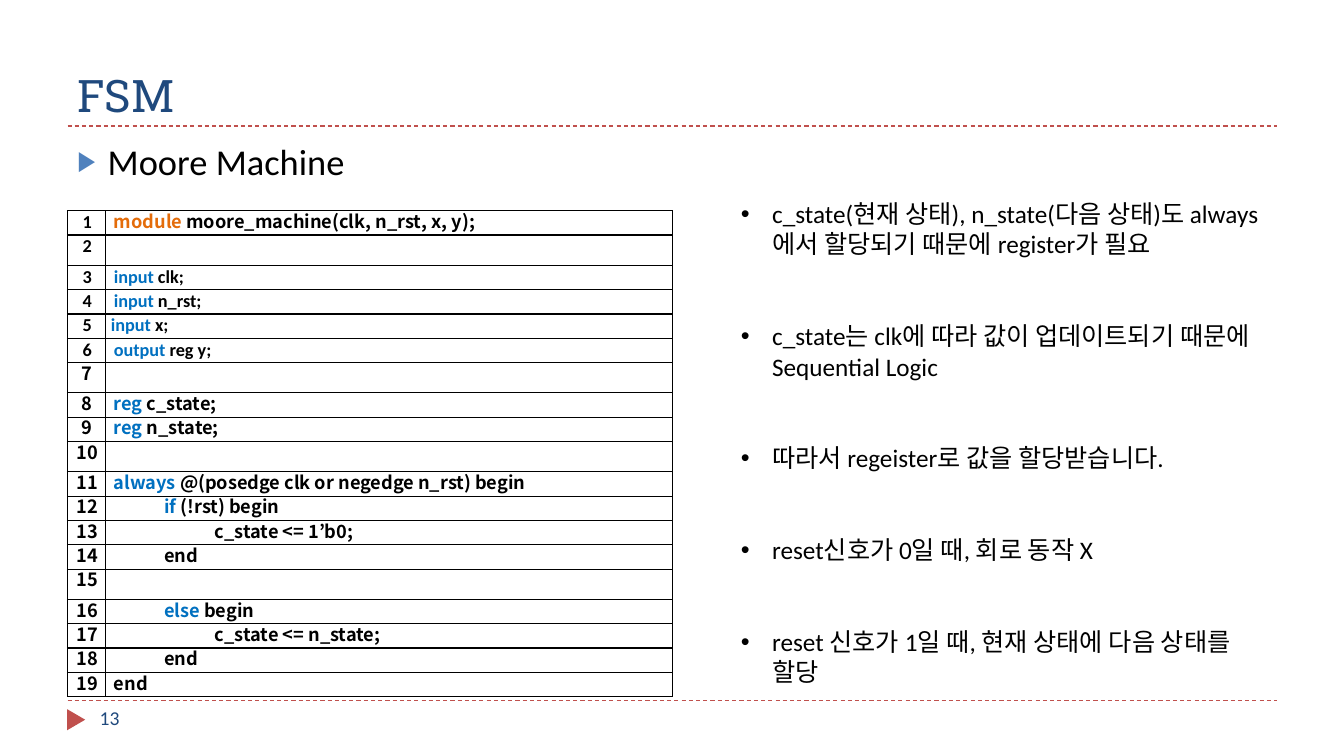
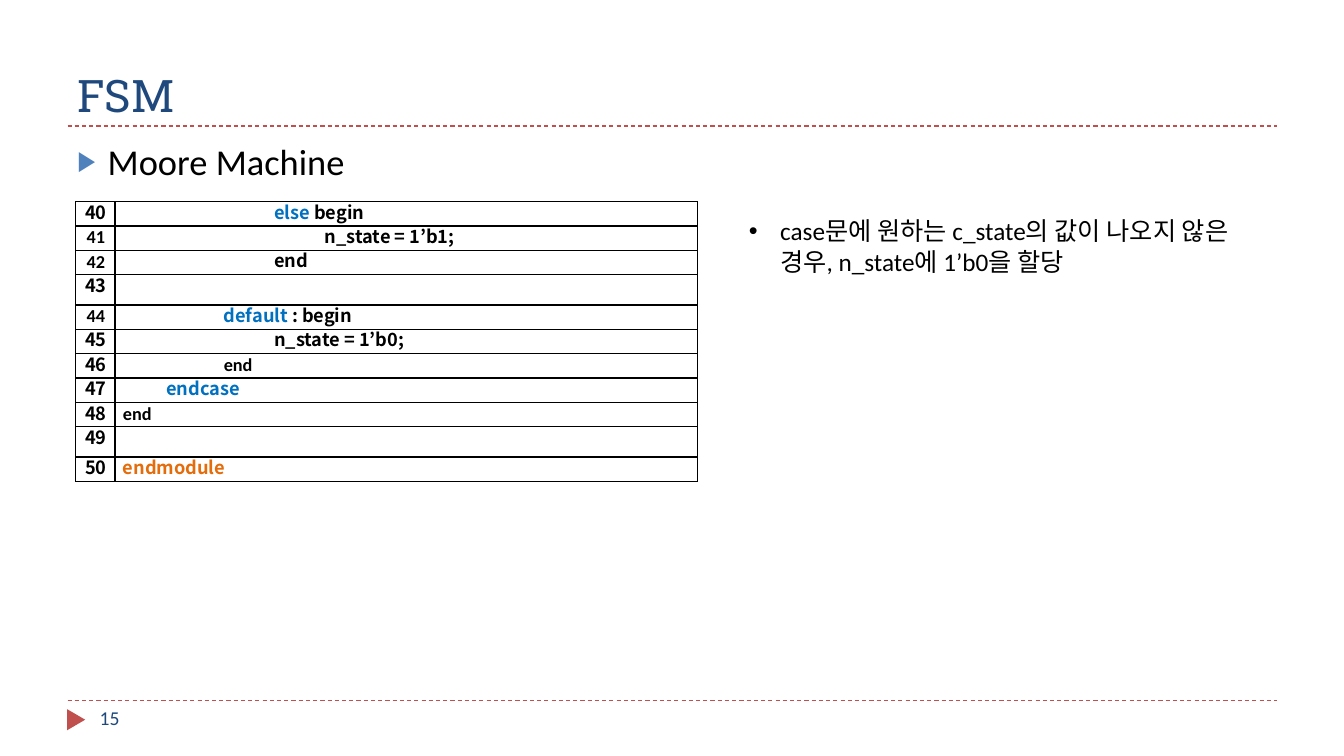
from dataclasses import dataclass

from lxml.etree import SubElement
from pptx import Presentation
from pptx.dml.color import RGBColor
from pptx.enum.dml import MSO_LINE
from pptx.enum.shapes import MSO_CONNECTOR, MSO_SHAPE
from pptx.enum.text import MSO_ANCHOR, PP_ALIGN
from pptx.oxml.ns import qn
from pptx.util import Emu, Pt


@dataclass(frozen=True)
class Theme:
    title: str = "1F497D"
    rule: str = "C0504D"
    bullet: str = "4F81BD"
    text: str = "000000"
    keyword: str = "0070C0"
    module: str = "E46C0A"
    title_font: str = "Roboto Slab"
    body_font: str = "Calibri"
    code_font: str = "Noto Sans CJK KR"
    title_size: int = 32
    heading_size: int = 26
    note_size: int = 18
    page_size: int = 14
    code_size: int = 13


T = Theme()
LEFT, WIDTH = 67, 1200
NOTE_GAP = 44
KEYWORDS = dict.fromkeys(
    ("input", "output", "reg", "always", "if", "else", "default", "endcase"), T.keyword
) | dict.fromkeys(("module", "endmodule"), T.module)


@dataclass(frozen=True)
class Listing:
    """Numbered code; the sets hold line numbers that differ from the rest."""
    first: int
    lines: tuple
    body_font_numbers: frozenset
    body_font_code: frozenset
    flush: frozenset
    tall: frozenset = frozenset()


MOORE_START = Listing(
    1,
    (
        "module moore_machine(clk, n_rst, x, y);",
        "",
        "input clk;",
        "input n_rst;",
        " input x;",
        "output reg y;",
        "",
        "reg c_state;",
        "reg n_state;",
        "",
        "always @(posedge clk or negedge n_rst) begin",
        "\tif (!rst) begin",
        "\t\tc_state <= 1’b0;",
        "\tend",
        "",
        "\telse begin",
        "\t\tc_state <= n_state;",
        "\tend",
        "end",
    ),
    body_font_numbers=frozenset(range(1, 7)),
    body_font_code=frozenset(range(3, 7)),
    flush=frozenset({5}),
    tall=frozenset({7, 10}),
)
MOORE_END = Listing(
    40,
    (
        "\t\t\telse begin",
        "\t\t\t\tn_state = 1’b1;",
        "\t\t\tend",
        "",
        "\t\tdefault : begin",
        "\t\t\tn_state = 1’b0;",
        "\t\tend",
        "\tendcase",
        "end",
        "",
        "endmodule",
    ),
    body_font_numbers=frozenset({41, 42, 44}),
    body_font_code=frozenset({46, 48}),
    flush=frozenset({47}),
)
START_NOTES = (
    "c_state(현재 상태), n_state(다음 상태)도 always에서 할당되기 때문에 register가 필요",
    "c_state는 clk에 따라 값이 업데이트되기 때문에 Sequential Logic",
    "따라서 regeister로 값을 할당받습니다.",
    "reset신호가 0일 때, 회로 동작 X",
    "reset 신호가 1일 때, 현재 상태에 다음 상태를 할당",
)
END_NOTES = ("case문에 원하는 c_state의 값이 나오지 않은 경우, n_state에 1’b0을 할당",)


def px(n):
    return Emu(n * 9144)


def add_run(p, text, size, color=T.text, font=T.body_font, bold=False):
    r = p.add_run()
    r.text = text
    for name, value in {"size": Pt(size), "name": font, "bold": bold}.items():
        setattr(r.font, name, value)
    r.font.color.rgb = RGBColor.from_string(color)


def add_bullet(p, char, indent, color=None, percent=100):
    pPr = p._p.get_or_add_pPr()
    pPr.set("marL", str(px(indent)))
    pPr.set("indent", str(-px(indent)))
    if color:
        SubElement(SubElement(pPr, qn("a:buClr")), qn("a:srgbClr"), val=color)
    SubElement(pPr, qn("a:buSzPct"), val=str(percent * 1000))
    SubElement(pPr, qn("a:buFont"), typeface="Arial")
    SubElement(pPr, qn("a:buChar"), char=char)


def add_box(s, x, y, w, h, anchor=MSO_ANCHOR.TOP):
    tf = s.shapes.add_textbox(px(x), px(y), px(w), px(h)).text_frame
    tf.word_wrap = True
    tf.vertical_anchor = anchor
    return tf


def add_rule(s, y):
    line = s.shapes.add_connector(
        MSO_CONNECTOR.STRAIGHT, px(LEFT), px(y), px(LEFT + WIDTH), px(y))
    line.line.color.rgb = RGBColor.from_string(T.rule)
    line.line.width = Pt(0.75)
    line.line.dash_style = MSO_LINE.DASH
    SubElement(line._element.spPr, qn("a:effectLst"))


def add_frame(s, title, heading, page):
    """Draw the title, heading, rules and page number that every slide has."""
    for y in (695, 125):
        add_rule(s, y)
    marker = s.shapes.add_shape(
        MSO_SHAPE.ISOSCELES_TRIANGLE, px(65), px(705), px(21), px(18))
    marker.rotation = 90
    marker.shadow.inherit = False
    marker.fill.solid()
    marker.fill.fore_color.rgb = RGBColor.from_string(T.rule)
    marker.line.fill.background()

    tf = add_box(s, LEFT, 17, WIDTH, 108, MSO_ANCHOR.BOTTOM)
    add_run(tf.paragraphs[0], title, T.title_size, T.title, T.title_font)
    p = add_box(s, LEFT, 133, WIDTH, 60).paragraphs[0]
    add_bullet(p, "▶", 30, T.bullet, 76)
    add_run(p, heading, T.heading_size)
    tf = add_box(s, 89, 695, 289, 40)
    add_run(tf.paragraphs[0], str(page), T.page_size, T.title)


def add_notes(s, x, y, h, notes):
    tf = add_box(s, x, y, 542, h)
    for i, note in enumerate(notes):
        p = tf.add_paragraph() if i else tf.paragraphs[0]
        if i:
            p.space_before = Pt(NOTE_GAP)
        add_bullet(p, "•", 31)
        add_run(p, note, T.note_size)


def format_cell(cell, indent):
    """Give a cell thin borders, no margins and no fill; return its paragraph."""
    for side in ("left", "right", "top", "bottom"):
        setattr(cell, f"margin_{side}", 0)
    tcPr = cell._tc.get_or_add_tcPr()
    for side in "LRTB":
        ln = SubElement(tcPr, qn(f"a:ln{side}"), w=str(Pt(1)))
        SubElement(SubElement(ln, qn("a:solidFill")), qn("a:srgbClr"), val=T.text)
    cell.fill.background()
    p = cell.text_frame.paragraphs[0]
    p.line_spacing = Pt(16.3)
    p._p.get_or_add_pPr().set("marL", str(px(indent)))
    return p


def add_code(p, code, font):
    """Write one line of code, with its first word coloured if it is a keyword."""
    body = code.lstrip()
    lead = code[:len(code) - len(body)]
    word, space, rest = body.partition(" ")
    parts = ((lead, T.text), (word, KEYWORDS.get(word, T.text)), (space + rest, T.text))
    for text, color in parts:
        if text:
            add_run(p, text, T.code_size, color, font, bold=True)


def add_listing(s, x, y, widths, h, listing):
    count = len(listing.lines)
    table = s.shapes.add_table(count, 2, px(x), px(y), px(sum(widths)), px(h)).table
    table.first_row = table.horz_banding = False
    for column, width in zip(table.columns, widths):
        column.width = px(width)
    for n, (row, code) in enumerate(zip(table.rows, listing.lines), listing.first):
        row.height = px(h) // count + (px(2) if n in listing.tall else 0)
        number_cell, code_cell = row.cells
        p = format_cell(number_cell, 1)
        p.alignment = PP_ALIGN.CENTER
        font = T.body_font if n in listing.body_font_numbers else T.code_font
        add_run(p, str(n), T.code_size, font=font, bold=True)
        p = format_cell(code_cell, 1 if n in listing.flush else 8)
        add_code(p, code, T.body_font if n in listing.body_font_code else T.code_font)


def main():
    prs = Presentation()
    prs.slide_width, prs.slide_height = px(1333), px(750)
    slides = (
        (13, (67, 209, (38, 562), 459, MOORE_START), (725, 192, 525, START_NOTES)),
        (15, (75, 200, (39, 578), 266, MOORE_END), (733, 209, 162, END_NOTES)),
    )
    for page, listing, notes in slides:
        s = prs.slides.add_slide(prs.slide_layouts[6])
        add_frame(s, "FSM", "Moore Machine", page)
        add_listing(s, *listing)
        add_notes(s, *notes)
    prs.save("out.pptx")


if __name__ == "__main__":
    main()
